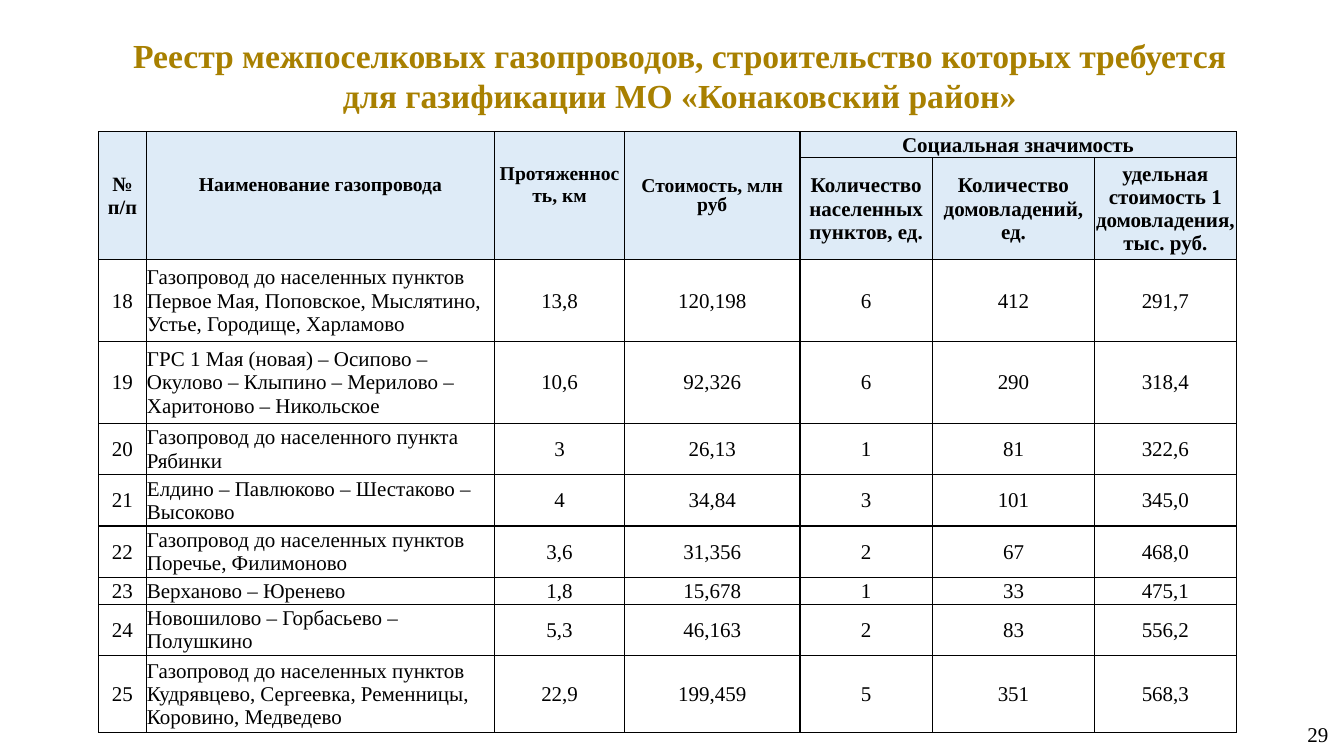
import pptx
import pptx.dml.color
import pptx.enum.text
import pptx.oxml
import pptx.oxml.ns
import pptx.util

Pt = pptx.util.Pt
ALIGN = pptx.enum.text.PP_ALIGN
ANCHOR = pptx.enum.text.MSO_ANCHOR

COLS = [34, 249, 92.5, 125.5, 94.5, 116, 101]
ROWS = [18.6, 72.8, 58.5, 58.5, 36.7, 36.7, 36.7, 19.2, 36.6, 54.8]
HEADERS = [
    (0, 0, 1, 0, "№\vп/п", {"size": 14.5}, {}),
    (0, 1, 1, 1, "Наименование газопровода", {"size": 14}, {"margin_bottom": Pt(16)}),
    (0, 2, 1, 2, "Протяженность, км", {"size": 14}, {"margin_bottom": Pt(16)}),
    (0, 3, 1, 3, "Стоимость, млн руб", {"size": 14, "spacing": 0.9}, {}),
    (0, 4, 0, 6, "Социальная значимость", {}, {}),
    (1, 4, 1, 4, "Количество населенных пунктов, ед.", {}, {}),
    (1, 5, 1, 5, "Количество\nдомовладений, ед.", {}, {}),
    (1, 6, 1, 6, "удельная стоимость 1 домовладения, тыс. руб.", {}, {}),
]
PIPELINES = [
    ("18", "Газопровод до населенных пунктов Первое Мая, Поповское, Мыслятино, Устье, Городище, Харламово",
     "13,8", "120,198", "6", "412", "291,7"),
    ("19", "ГРС 1 Мая (новая) – Осипово – Окулово – Клыпино – Мерилово – Харитоново – Никольское",
     "10,6", "92,326", "6", "290", "318,4"),
    ("20", "Газопровод до населенного пункта Рябинки", "3", "26,13", "1", "81", "322,6"),
    ("21", "Елдино – Павлюково – Шестаково – Высоково", "4", "34,84", "3", "101", "345,0"),
    ("22", "Газопровод до населенных пунктов Поречье, Филимоново", "3,6", "31,356", "2", "67", "468,0"),
    ("23", "Верханово – Юренево", "1,8", "15,678", "1", "33", "475,1"),
    ("24", "Новошилово – Горбасьево – Полушкино", "5,3", "46,163", "2", "83", "556,2"),
    ("25", "Газопровод до населенных пунктов Кудрявцево, Сергеевка, Ременницы, Коровино, Медведево",
     "22,9", "199,459", "5", "351", "568,3"),
]


def rgb(value):
    return pptx.dml.color.RGBColor.from_string(value)


class Deck:
    """Holds the text style and the current slide."""

    font = "Times New Roman"
    ink = "000000"
    header_fill = "DEEBF7"

    def __init__(self, prs):
        self.s = prs.slides.add_slide(prs.slide_layouts[5])

    def set_text(self, tf, text, size=15, color=ink, bold=False, align=ALIGN.CENTER, spacing=1.0):
        tf.text = text
        for p in tf.paragraphs:
            p.alignment = align
            p.line_spacing = spacing
            for r in p.runs:
                for name, value in {"name": self.font, "size": Pt(size), "bold": bold}.items():
                    setattr(r.font, name, value)
                r.font.color.rgb = rgb(color)

    def place(self, sp, x, y, w, h, anchor):
        for name, value in {"left": x, "top": y, "width": w, "height": h}.items():
            setattr(sp, name, Pt(value))
        sp.text_frame.word_wrap = True
        sp.text_frame.vertical_anchor = anchor

    def title(self, text, x, y, w, h):
        sp = self.s.shapes.title
        self.place(sp, x, y, w, h, ANCHOR.TOP)
        self.set_text(sp.text_frame, text, 24, "A88000", True)

    def number(self, text, x, y, w, h):
        sp = self.s.shapes.add_textbox(0, 0, 0, 0)
        self.place(sp, x, y, w, h, ANCHOR.MIDDLE)
        self.set_text(sp.text_frame, text, align=ALIGN.RIGHT)

    def frame_cell(self, cell, fill):
        tc_pr = cell._tc.get_or_add_tcPr()
        for side in ("lnL", "lnR", "lnT", "lnB"):
            tc_pr.append(pptx.oxml.parse_xml(
                f'<a:{side} {pptx.oxml.ns.nsdecls("a")} w="{Pt(1)}"><a:solidFill>'
                f'<a:srgbClr val="{self.ink}"/></a:solidFill></a:{side}>'))
        if fill:
            cell.fill.solid()
            cell.fill.fore_color.rgb = rgb(fill)
        else:
            cell.fill.background()
        fmt = {"margin_left": Pt(0.5), "margin_right": Pt(0.5), "margin_top": Pt(0.7),
               "margin_bottom": 0, "vertical_anchor": ANCHOR.MIDDLE}
        for name, value in fmt.items():
            setattr(cell, name, value)

    def table(self, x, y, cols, rows, headers, body):
        table = self.s.shapes.add_table(
            len(rows), len(cols), Pt(x), Pt(y), Pt(sum(cols)), Pt(sum(rows))).table
        for column, width in zip(table.columns, cols):
            column.width = Pt(width)
        for row, height in zip(table.rows, rows):
            row.height = Pt(height)
        for i in range(len(rows)):
            for j in range(len(cols)):
                self.frame_cell(table.cell(i, j), self.header_fill if i < 2 else None)
        for top, left, bottom, right, text, style, layout in headers:
            cell = table.cell(top, left)
            if (top, left) != (bottom, right):
                cell.merge(table.cell(bottom, right))
            self.set_text(cell.text_frame, text, bold=True, **style)
            for name, value in layout.items():
                setattr(cell, name, value)
        for i, values in enumerate(body, 2):
            for j, value in enumerate(values):
                align = ALIGN.LEFT if j == 1 else ALIGN.CENTER
                self.set_text(table.cell(i, j).text_frame, value, align=align)


def main():
    prs = pptx.Presentation()
    prs.slide_width, prs.slide_height = Pt(960), Pt(540)
    deck = Deck(prs)
    deck.title("Реестр межпоселковых газопроводов, строительство которых требуется\n"
               "для газификации МО «Конаковский район»", 62, 21, 847, 65.5)
    deck.table(70.5, 94, COLS, ROWS, HEADERS, PIPELINES)
    deck.number("29", 761, 502.5, 195, 44)
    prs.save("out.pptx")


if __name__ == "__main__":
    main()
